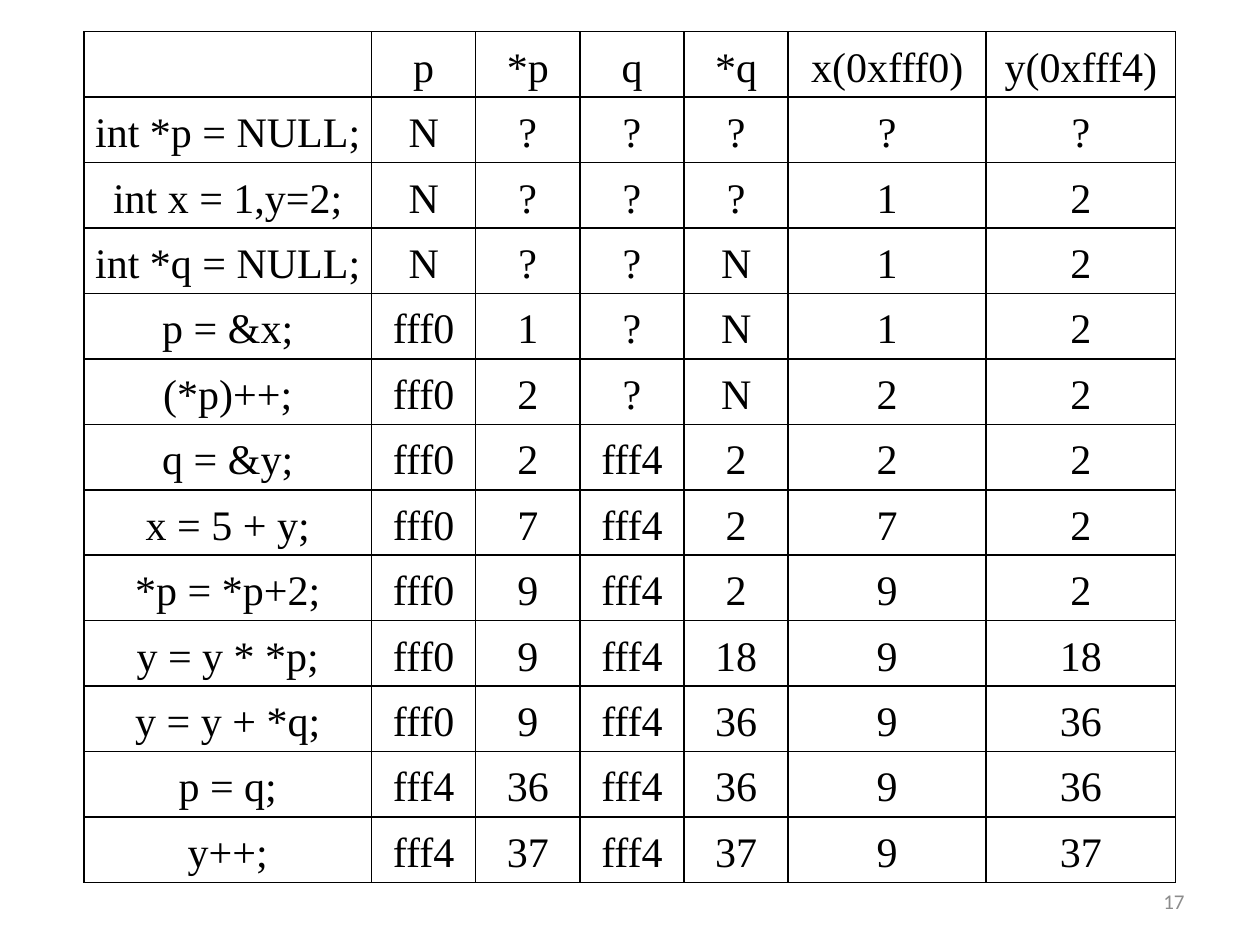
from lxml import etree
from pptx import Presentation, util as u
from pptx.dml.color import RGBColor
from pptx.enum import text as t
from pptx.oxml.ns import qn

HEADER = ["", "p", "*p", "q", "*q", "x(0xfff0)", "y(0xfff4)"]
STEPS = [
    ["int *p = NULL;", "N", "?", "?", "?", "?", "?"],
    ["int x = 1,y=2;", "N", "?", "?", "?", "1", "2"],
    ["int *q = NULL;", "N", "?", "?", "N", "1", "2"],
    ["p = &x;", "fff0", "1", "?", "N", "1", "2"],
    ["(*p)++;", "fff0", "2", "?", "N", "2", "2"],
    ["q = &y;", "fff0", "2", "fff4", "2", "2", "2"],
    ["x = 5 + y;", "fff0", "7", "fff4", "2", "7", "2"],
    ["*p = *p+2;", "fff0", "9", "fff4", "2", "9", "2"],
    ["y = y * *p;", "fff0", "9", "fff4", "18", "9", "18"],
    ["y = y + *q;", "fff0", "9", "fff4", "36", "9", "36"],
    ["p = q;", "fff4", "36", "fff4", "36", "9", "36"],
    ["y++;", "fff4", "37", "fff4", "37", "9", "37"],
]
PAGE_NUMBER = "17"
COLUMN_WIDTHS = [5.8, 2.1, 2.1, 2.1, 2.1, 3.99, 3.82]
TABLE_LEFT, TABLE_TOP, TABLE_HEIGHT = 1.69, 0.64, 17.15
COLORS = {"ink": "000000", "number": "8C8C8C"}


def write(frame, words, *, font, size, color, align, spacing=1.0):
    para = frame.paragraphs[0]
    para.alignment = align
    para.line_spacing = spacing
    span = para.add_run()
    span.text = words
    span.font.name = font
    span.font.size = u.Pt(size)
    span.font.color.rgb = RGBColor.from_string(COLORS[color])


def add_borders(cell, color, width):
    properties = cell._tc.get_or_add_tcPr()
    for side in ("a:lnL", "a:lnR", "a:lnT", "a:lnB"):
        line = etree.SubElement(properties, qn(side), w=str(u.Pt(width)))
        fill = etree.SubElement(line, qn("a:solidFill"))
        etree.SubElement(fill, qn("a:srgbClr"), val=COLORS[color])


def add_trace_table(page):
    rows = [HEADER, *STEPS]
    table = page.shapes.add_table(
        len(rows), len(HEADER), u.Cm(TABLE_LEFT), u.Cm(TABLE_TOP),
        u.Cm(sum(COLUMN_WIDTHS)), u.Cm(TABLE_HEIGHT)).table
    table.first_row = table.horz_banding = False
    for column, width in zip(table.columns, COLUMN_WIDTHS):
        column.width = u.Cm(width)
    for row, values in zip(table.rows, rows):
        row.height = u.Cm(TABLE_HEIGHT / len(rows))
        for cell, value in zip(row.cells, values):
            add_borders(cell, "ink", 1)
            cell.fill.background()
            cell.vertical_anchor = t.MSO_ANCHOR.MIDDLE
            cell.margin_left = cell.margin_right = u.Cm(0.18)
            cell.margin_top = cell.margin_bottom = 0
            if value:
                write(cell.text_frame, value, font="Times New Roman", size=24,
                      color="ink", align=t.PP_ALIGN.CENTER, spacing=1.15)


def add_page_number(page):
    box = page.shapes.add_textbox(u.Cm(18.2), u.Cm(17.66), u.Cm(5.93), u.Cm(1.01))
    frame = box.text_frame
    frame.word_wrap = True
    frame.vertical_anchor = t.MSO_ANCHOR.MIDDLE
    write(frame, PAGE_NUMBER, font="Calibri", size=12, color="number",
          align=t.PP_ALIGN.RIGHT)


def main():
    deck = Presentation()
    deck.slide_width, deck.slide_height = u.Cm(25.4), u.Cm(19.05)
    page = deck.slides.add_slide(deck.slide_layouts[6])
    add_page_number(page)
    add_trace_table(page)
    deck.save("out.pptx")


if __name__ == "__main__":
    main()
